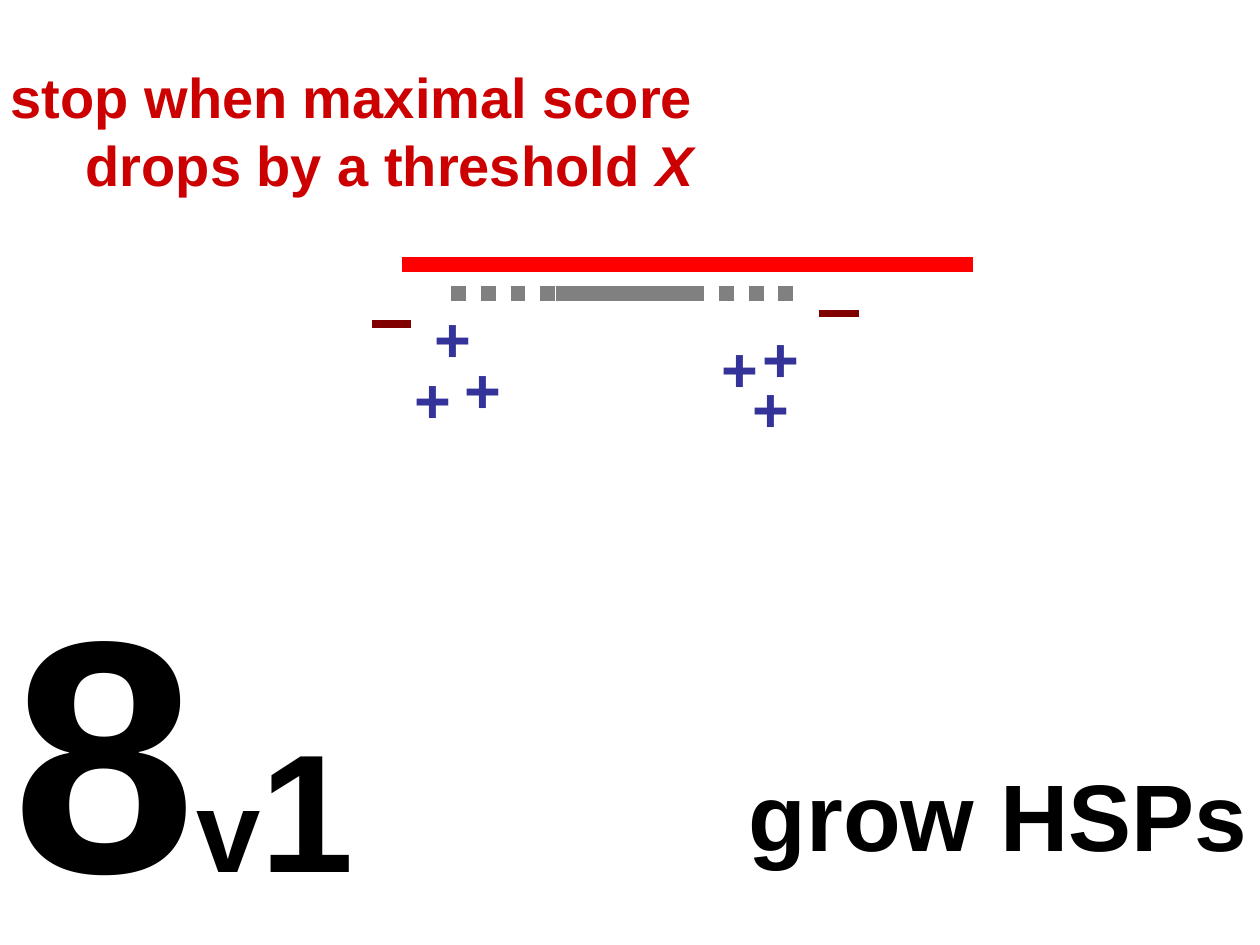
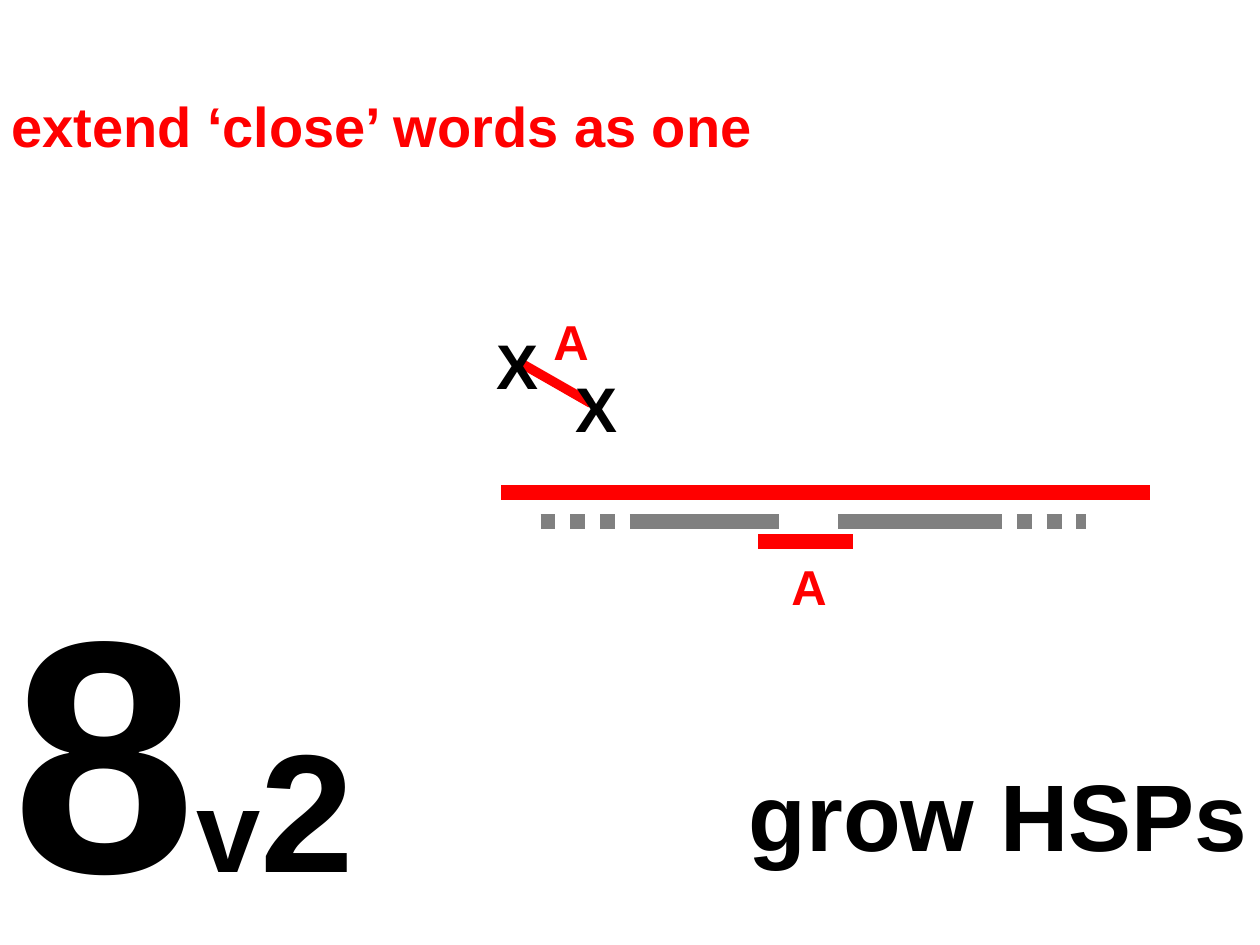
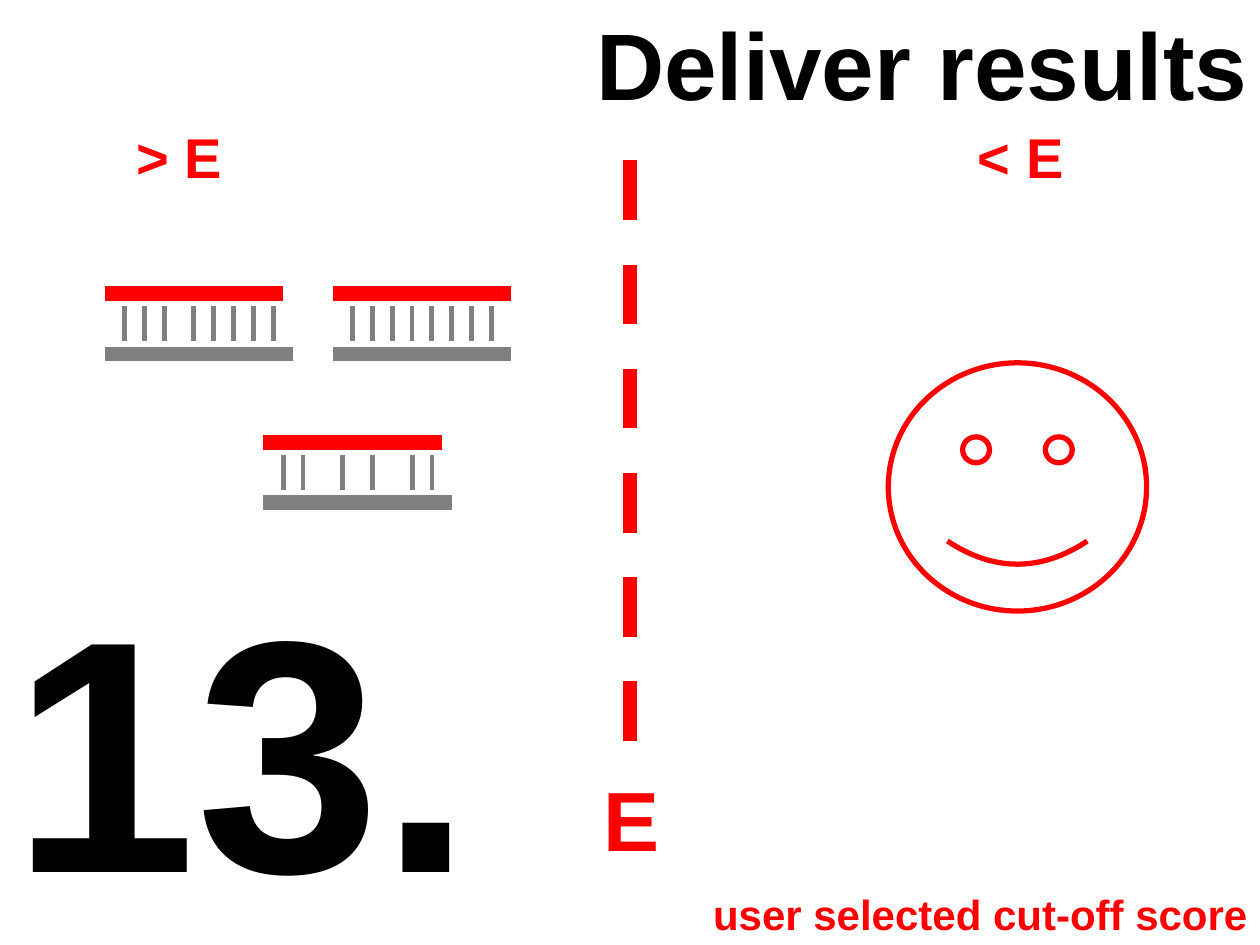
from pptx import Presentation
from pptx import util as u
from pptx.dml.color import RGBColor
from pptx.enum import dml, shapes, text
from pptx.oxml.ns import qn

WIDE, HIGH = u.Inches(10), u.Inches(7.5)
COLS, ROWS = 10, 7.5
STEP = 10 / 127  # fine grid, in columns
FONT = "Arial"
HUES = {"ink": "000000", "red": "FF0000", "note": "CC0000",
        "gray": "808080", "plus": "333399", "minus": "800000"}
BAR, RUNG = 8.5, 2.75
DOT, DASH = dml.MSO_LINE.ROUND_DOT, dml.MSO_LINE.DASH


def hue(name):
    return RGBColor.from_string(HUES[name])


def across(cols):
    return round(WIDE * cols / COLS)


def down(rows):
    return round(HIGH * rows / ROWS)


def write(slide, lines, left, top, width, height, size=32, color="ink", right=True):
    """Each line is a string or a list of (words, size, italic) runs."""
    box = slide.shapes.add_textbox(across(left), down(top), across(width), down(height))
    frame = box.text_frame
    frame.word_wrap = False
    frame.auto_size = text.MSO_AUTO_SIZE.SHAPE_TO_FIT_TEXT
    for i, line in enumerate(lines):
        para = frame.add_paragraph() if i else frame.paragraphs[0]
        para.alignment = text.PP_ALIGN.RIGHT if right else text.PP_ALIGN.LEFT
        runs = [(line, size, False)] if isinstance(line, str) else line
        for words, points, slant in runs:
            run = para.add_run()
            run.text = words
            font = run.font
            font.name, font.size, font.bold = FONT, u.Pt(points), True
            if slant:
                font.italic = True
            font.color.rgb = hue(color)


def rule(host, x, y, to_x, to_y, color, weight=BAR, dash=None):
    line = host.shapes.add_connector(
        shapes.MSO_CONNECTOR.STRAIGHT, across(x), down(y), across(to_x), down(to_y))
    line.line.color.rgb = hue(color)
    line.line.width = u.Pt(weight)
    if dash:
        line.line.dash_style = dash
    props = line._element.spPr
    props.append(props.makeelement(qn("a:effectLst"), {}))


def bar(host, x, to_x, y, color, weight=BAR, dash=None):
    rule(host, x, y, to_x, y, color, weight, dash)


def title(slide, words, left, top):
    write(slide, [words], left, top, COLS - left, 1, size=54)


def count(slide, runs, width):
    """Large step number in the lower left corner."""
    write(slide, [runs], 0, 4.25, width, 3.25, right=False)


def grow(slide, part):
    count(slide, [("8", 189, False), ("v", 66, False), (part, 96, False)], 2.91)
    title(slide, "grow HSPs", 5.84, 5.96)


def ladder(slide, left, top, base, rungs):
    """Aligned pair: red bar, gray bar of `base` steps, rungs at given steps."""
    group = slide.shapes.add_group_shape()
    bar(group, left, left + base * STEP, top + 0.48, "gray")
    bar(group, left, left + 18 * STEP, top, "red")
    for rung in rungs:
        x = left + rung * STEP
        rule(group, x, top + 0.1, x, top + 0.38, "gray", RUNG)


def smile(slide, left, top, width, height):
    face = slide.shapes.add_shape(shapes.MSO_SHAPE.SMILEY_FACE, across(left),
                                  down(top), across(width), down(height))
    face.shadow.inherit = False
    face.fill.background()
    face.line.color.rgb = hue("red")
    face.line.width = u.Pt(3)


def drop(slide):
    bar(slide, 3.58, 6.34, 2.33, "gray", dash=DOT)
    grow(slide, "1")
    bar(slide, 3.19, 7.72, 2.1, "red")
    bar(slide, 4.41, 5.59, 2.33, "gray")
    for x, y in [(5.63, 2.57), (3.59, 2.73), (5.95, 2.49),
                 (5.87, 2.88), (3.35, 2.33), (3.19, 2.81)]:
        write(slide, ["+"], x, y, 0.49, 0.7, size=36, color="plus", right=False)
    for x, y in [(6.5, 2.49), (2.95, 2.57)]:
        bar(slide, x, x + 4 * STEP, y, "minus", 4.25)
    write(slide, ["stop when maximal score",
                  [("drops by a threshold ", 32, False), ("X", 32, True)]],
          -0.05, 0.45, 5.65, 1.17, color="note")


def merge(slide):
    rule(slide, 4.13, 2.88, 4.69, 3.2, "red", 5.5)
    grow(slide, "2")
    write(slide, ["extend ‘close’ words as one"], -0.01, 0.68, 6.11, 0.64,
          color="red", right=False)
    for x, y in [(3.84, 2.54), (4.47, 2.88)]:
        write(slide, ["X"], x, y, 0.53, 0.7, size=36)
    for x, y in [(4.29, 2.42), (6.18, 4.37)]:
        write(slide, ["A"], x, y, 0.48, 0.57, size=28, color="red")
    bar(slide, 3.98, 9.13, 3.91, "red")
    for x, to_x, dash in [(6.89, 8.62, DOT), (5, 6.18, None),
                          (6.65, 7.84, None), (4.29, 6.02, DOT)]:
        bar(slide, x, to_x, 4.14, "gray", dash=dash)
    bar(slide, 6.02, 6.77, 4.3, "red")


def result(slide):
    count(slide, [("13.", 189, False)], 3.85)
    title(slide, "Deliver results", 4.63, 0)
    rule(slide, COLS / 2, 5.88, COLS / 2, 1.15, "red", dash=DASH)
    write(slide, ["E"], 4.69, 6.04, 0.64, 0.9, size=48, color="red")
    write(slide, ["user selected cut-off score"], 5.56, 7, 4.44, 0.5,
          size=24, color="red")
    for words, x in [("< E", 7.66), ("> E", 0.98)]:
        write(slide, [words], x, 0.92, 0.88, 0.64, color="red")
    smile(slide, 7.05, 2.88, 2.05, 1.97)
    ladder(slide, 0.83, 2.33, 19, [2, 4, 6, *range(9, 18, 2)])
    ladder(slide, 2.64, 2.33, 18, range(2, 17, 2))
    ladder(slide, 2.09, 3.51, 19, [2, 4, 8, 11, 15, 17])


def main():
    deck = Presentation()
    deck.slide_width, deck.slide_height = WIDE, HIGH
    for draw in (drop, merge, result):
        draw(deck.slides.add_slide(deck.slide_layouts[6]))
    deck.save("out.pptx")


if __name__ == "__main__":
    main()
